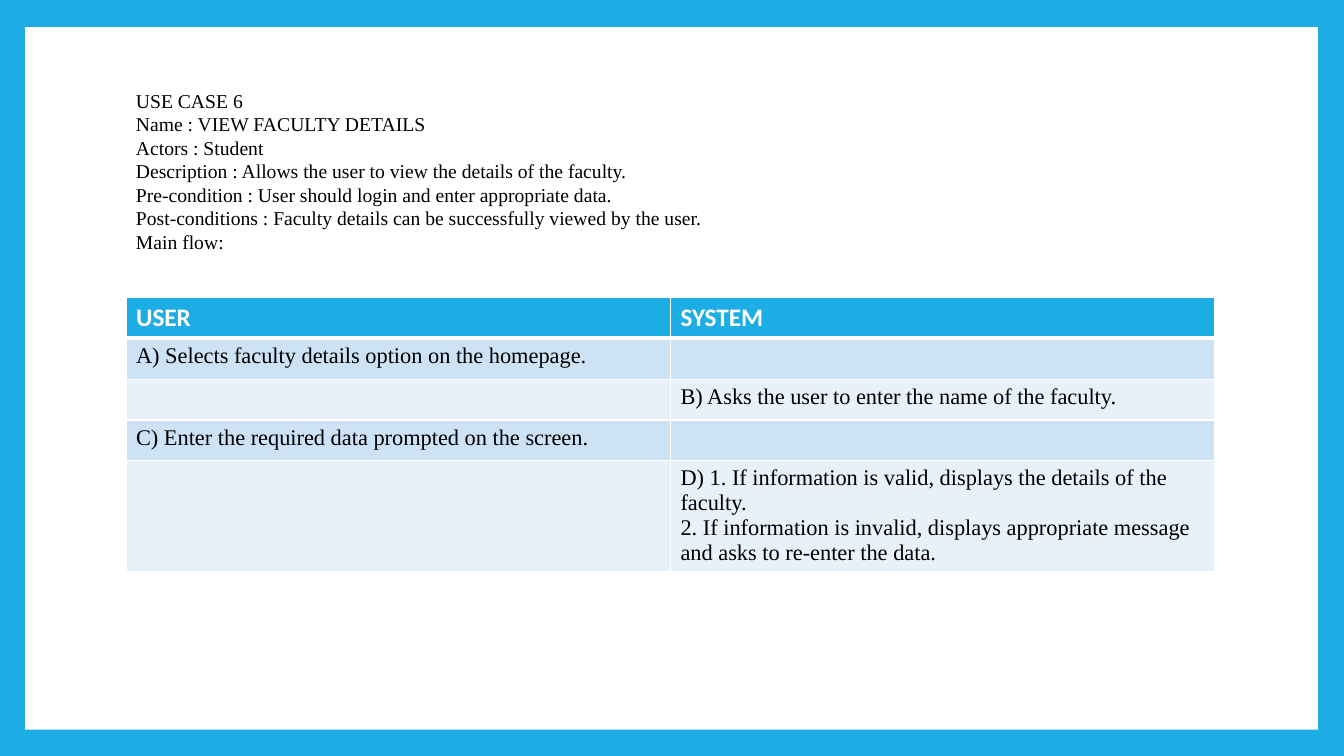
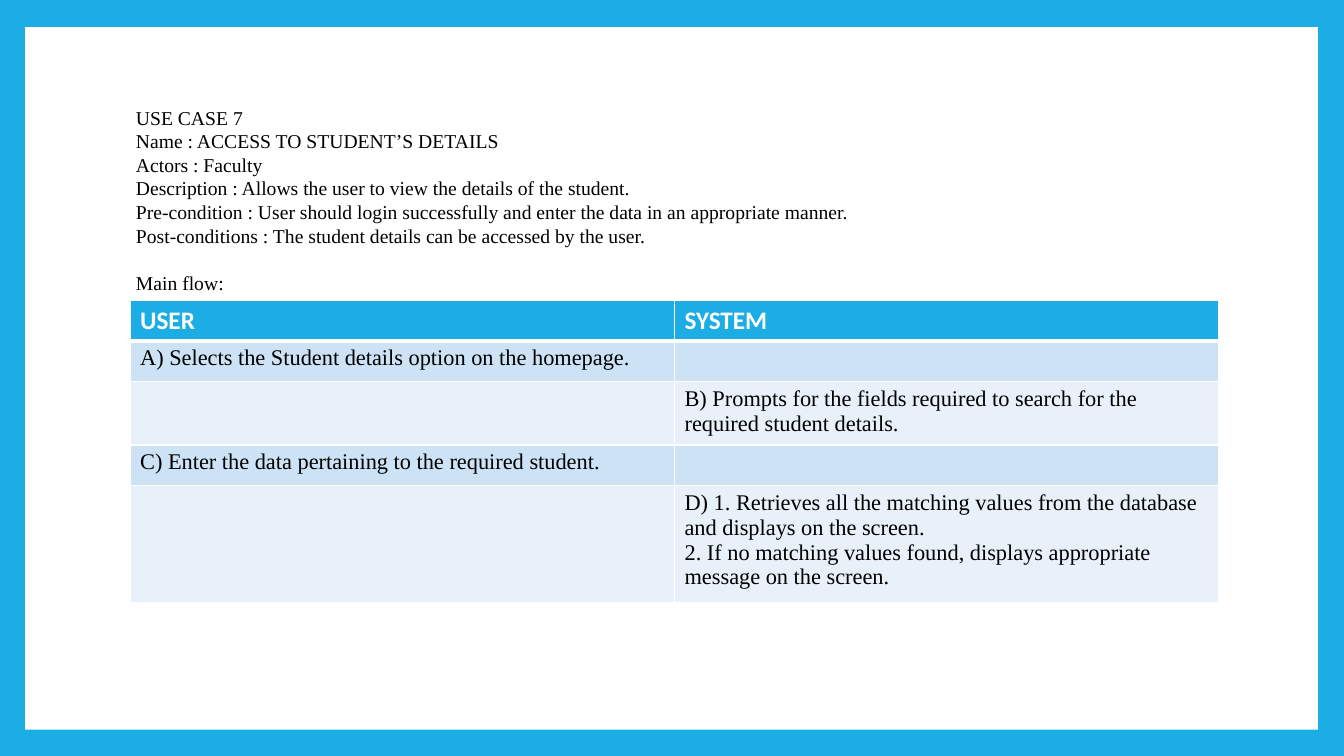
from lxml import etree
from pptx import Presentation
from pptx.dml.color import RGBColor
from pptx.enum.shapes import MSO_SHAPE
from pptx.enum.text import MSO_AUTO_SIZE
from pptx.oxml.ns import qn
from pptx.util import Inches, Pt

RECTANGLE = MSO_SHAPE.RECTANGLE
GROW = MSO_AUTO_SIZE.SHAPE_TO_FIT_TEXT

BLUE = "1CADE4"
WHITE = "FFFFFF"
BLACK = "000000"
BANDS = ("CDE3F5", "E8F1FA")
HEAD_FONT = "Calibri"
BODY_FONT = "Times New Roman"
COLUMN_WIDTH = 5.4
MIN_ROW_HEIGHT = 0.4
LINE_HEIGHT = 0.25
CELL_PADDING = 0.1
HEADER = ("USER", "SYSTEM")


def rgb(value):
    """Turn a hex string into a colour."""
    return RGBColor.from_string(value)


def style_text(tf, size, font, color, bold=False):
    """Format every run of a text frame."""
    for p in tf.paragraphs:
        for r in p.runs:
            r.font.size = Pt(size)
            r.font.name = font
            r.font.bold = bold
            r.font.color.rgb = rgb(color)


def add_panel(s):
    """Lay the white panel that leaves a blue frame around the slide."""
    sp = s.shapes.add_shape(RECTANGLE, Inches(0.25), Inches(0.27),
                            Inches(12.82), Inches(6.97))
    sp.shadow.inherit = False
    sp.fill.solid()
    sp.fill.fore_color.rgb = rgb(WHITE)
    sp.line.fill.background()


def add_summary(s, top, width, height, lines, flow_gap):
    """Write the use case summary; flow_gap is the space above its last line."""
    sp = s.shapes.add_textbox(Inches(1.25), Inches(top),
                              Inches(width), Inches(height))
    tf = sp.text_frame
    tf.word_wrap = True
    tf.auto_size = GROW
    tf.text = "\n".join(lines)
    tf.paragraphs[-1].space_before = Pt(flow_gap)
    style_text(tf, 14, BODY_FONT, BLACK)


def set_border(cell, side, width):
    """Draw one white cell border; call before the cell is filled."""
    tc_pr = cell._tc.get_or_add_tcPr()
    ln = etree.SubElement(tc_pr, qn("a:ln" + side), w=str(Pt(width)))
    fill = etree.SubElement(ln, qn("a:solidFill"))
    etree.SubElement(fill, qn("a:srgbClr"), val=WHITE)


def fill_cell(cell, text, row):
    """Set the borders, fill and text of a cell according to its row."""
    thick_side = {0: "B", 1: "T"}.get(row)
    for side in "LRTB":
        set_border(cell, side, 3 if side == thick_side else 1)
    cell.fill.solid()
    cell.fill.fore_color.rgb = rgb(BANDS[(row - 1) % 2] if row else BLUE)
    if not text:
        return
    cell.text_frame.text = text
    if row == 0:
        style_text(cell.text_frame, 18, HEAD_FONT, WHITE, bold=True)
    else:
        style_text(cell.text_frame, 16, BODY_FONT, BLACK)


def add_flow_table(s, left, top, steps, line_counts):
    """Add the main flow; steps alternate between user and system."""
    rows = [HEADER]
    for i, step in enumerate(steps):
        rows.append(("", step) if i % 2 else (step, ""))
    heights = [MIN_ROW_HEIGHT]
    for count in line_counts:
        heights.append(max(MIN_ROW_HEIGHT, CELL_PADDING + LINE_HEIGHT * count))
    table = s.shapes.add_table(
        len(rows), len(HEADER), Inches(left), Inches(top),
        Inches(COLUMN_WIDTH * len(HEADER)), Inches(sum(heights))).table
    for col in table.columns:
        col.width = Inches(COLUMN_WIDTH)
    for i, row in enumerate(rows):
        table.rows[i].height = Inches(heights[i])
        for j, text in enumerate(row):
            fill_cell(table.cell(i, j), text, i)


def add_use_case(prs, summary, table):
    """Add one use case slide with its summary and main flow."""
    s = prs.slides.add_slide(prs.slide_layouts[6])
    add_panel(s)
    add_flow_table(s, **table)
    add_summary(s, **summary)


def main():
    """Build the presentation."""
    prs = Presentation()
    prs.slide_width = Inches(13.33)
    prs.slide_height = Inches(7.5)
    background = prs.slide_master.background.fill
    background.solid()
    background.fore_color.rgb = rgb(BLUE)

    add_use_case(
        prs,
        summary=dict(top=0.83, width=8.75, height=1.75, flow_gap=0, lines=[
            "USE CASE 6",
            "Name : VIEW FACULTY DETAILS",
            "Actors : Student",
            "Description : Allows the user to view the details of the faculty.",
            "Pre-condition : User should login and enter appropriate data.",
            "Post-conditions : Faculty details can be successfully viewed "
            "by the user.",
            "Main flow:",
        ]),
        table=dict(left=1.25, top=2.95, line_counts=(1, 1, 1, 4), steps=[
            "A) Selects faculty details option on the homepage.",
            "B) Asks the user to enter the name of the faculty.",
            "C) Enter the required data prompted on the screen.",
            "D) 1. If information is valid, displays the details of the "
            "faculty.\n2. If information is invalid, displays appropriate "
            "message and asks to re-enter the data.",
        ]))

    add_use_case(
        prs,
        summary=dict(top=1, width=10.15, height=1.99, flow_gap=17, lines=[
            "USE CASE 7",
            "Name : ACCESS TO STUDENT’S DETAILS",
            "Actors : Faculty",
            "Description : Allows the user to view the details of the student.",
            "Pre-condition : User should login successfully and enter the data "
            "in an appropriate manner.",
            "Post-conditions : The student details can be accessed by the user.",
            "Main flow:",
        ]),
        table=dict(left=1.29, top=2.98, line_counts=(1, 2, 1, 4), steps=[
            "A) Selects the Student details option on the homepage.",
            "B) Prompts for the fields required to search for the required "
            "student details.",
            "C) Enter the data pertaining to the required student.",
            "D) 1. Retrieves all the matching values from the database and "
            "displays on the screen.\n2. If no matching values found, displays "
            "appropriate message on the screen.",
        ]))

    prs.save("out.pptx")


main()
